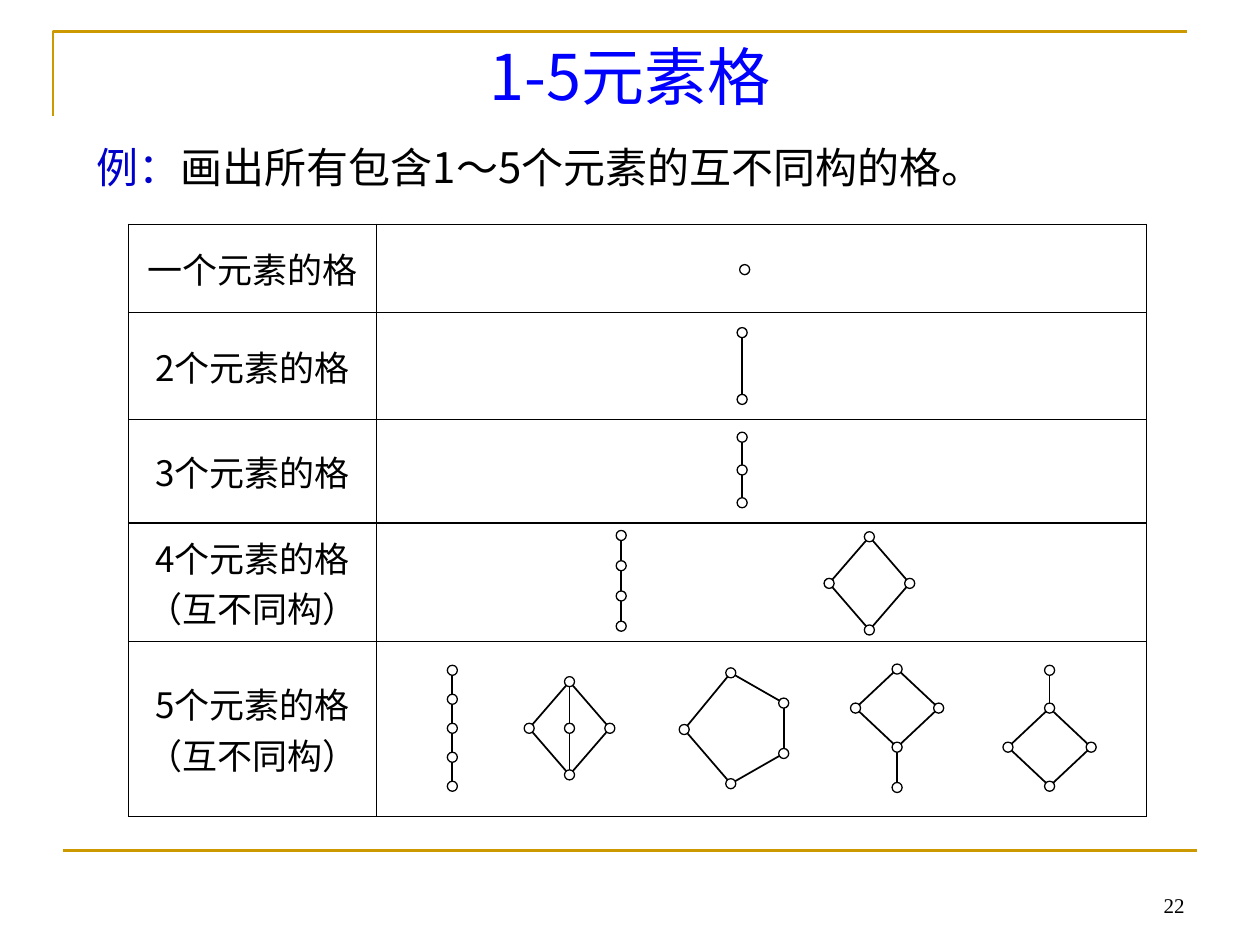
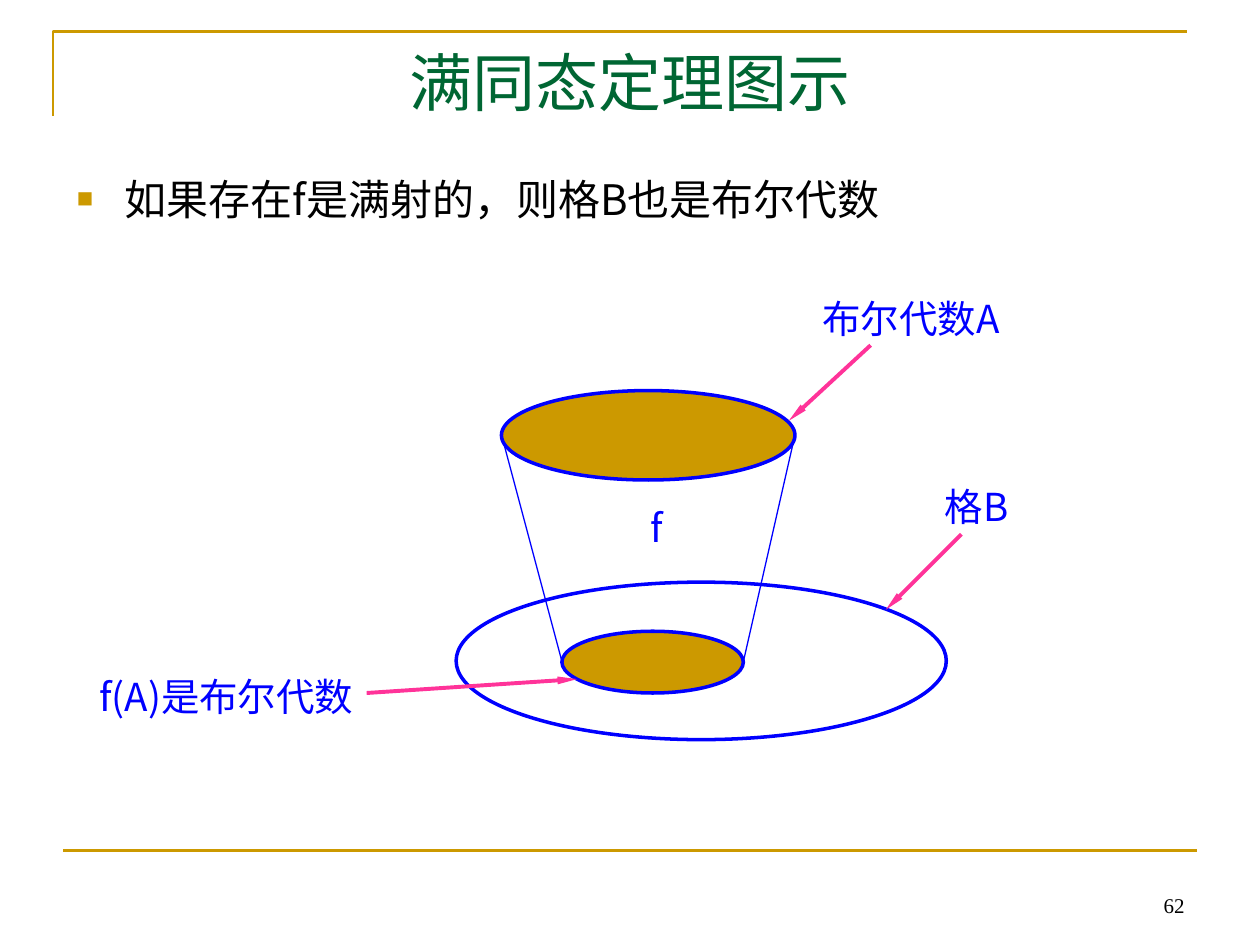
"""Build two slides on lattices: small Hasse diagrams and the surjective homomorphism theorem."""
from dataclasses import dataclass
from itertools import product
from typing import Any, NamedTuple, Optional

import pptx
import pptx.dml.color
import pptx.enum.shapes
import pptx.enum.text
import pptx.oxml.ns
import pptx.presentation
import pptx.slide
import pptx.text.text
import pptx.util
from lxml import etree

Inches = pptx.util.Inches
Align = pptx.enum.text.PP_ALIGN
Anchor = pptx.enum.text.MSO_ANCHOR
Preset = pptx.enum.shapes.MSO_SHAPE
qn = pptx.oxml.ns.qn


@dataclass(frozen=True)
class Theme:
    """Colours, fonts and type sizes of the deck."""
    gold: str = "CC9900"
    blue: str = "0000FF"
    navy: str = "0000CC"
    green: str = "006633"
    pink: str = "FF3399"
    black: str = "000000"
    white: str = "FFFFFF"
    font: str = "Noto Sans CJK SC"
    number_font: str = "Times New Roman"
    title: int = 36
    body: int = 24
    label: int = 22
    cell: int = 20
    number: int = 12


THEME = Theme()


class Point(NamedTuple):
    """A place in inches."""
    x: float
    y: float


class Box(NamedTuple):
    """Left, top, width and height in inches."""
    left: float
    top: float
    width: float
    height: float

    def lengths(self) -> list[pptx.util.Length]:
        """Return the four values as lengths."""
        return [Inches(value) for value in self]


class Lattice(NamedTuple):
    """Hasse diagram: node centres and pairs of joined nodes."""
    nodes: list[Point]
    edges: list[tuple[int, int]]
    node_shape: Any = Preset.FLOWCHART_CONNECTOR


class Ellipse(NamedTuple):
    """A set drawn as an ellipse."""
    box: Box
    fill: Optional[str]


class Label(NamedTuple):
    """A caption and its box."""
    text: str
    box: Box


class Stroke(NamedTuple):
    """A straight line between two points."""
    start: Point
    end: Point


DIAMOND_EDGES = [(0, 1), (1, 2), (2, 3), (3, 0)]


def chain(x: float, top: float, step: float, count: int, node_shape: Any = Preset.FLOWCHART_CONNECTOR) -> Lattice:
    """Return a vertical chain with equal steps."""
    nodes = [Point(x, top + step * index) for index in range(count)]
    return Lattice(nodes, [(index, index + 1) for index in range(count - 1)], node_shape)


def diamond(x: float, y: float, half_width: float, half_height: float) -> list[Point]:
    """Return the top, right, bottom and left nodes of a diamond."""
    return [Point(x, y - half_height), Point(x + half_width, y), Point(x, y + half_height), Point(x - half_width, y)]


LATTICES = [
    chain(5.91, 2.14, 0, 1, Preset.OVAL),
    chain(5.89, 2.64, 0.53, 2, Preset.OVAL),
    chain(5.89, 3.47, 0.26, 3, Preset.OVAL),
    chain(4.93, 4.25, 0.24, 4),
    Lattice(diamond(6.9, 4.63, 0.32, 0.37), DIAMOND_EDGES),
    chain(3.59, 5.32, 0.23, 5),
    Lattice(diamond(4.52, 5.78, 0.32, 0.37) + [Point(4.52, 5.78)], DIAMOND_EDGES + [(0, 4), (4, 2)]),
    Lattice([Point(5.8, 5.34), Point(6.22, 5.58), Point(6.22, 5.98), Point(5.8, 6.22), Point(5.43, 5.79)],
            [(0, 1), (1, 2), (2, 3), (3, 4), (4, 0)]),
    Lattice(diamond(7.12, 5.62, 0.33, 0.31) + [Point(7.12, 6.25)], DIAMOND_EDGES + [(2, 4)]),
    Lattice(diamond(8.33, 5.93, 0.33, 0.31) + [Point(8.33, 5.32)], DIAMOND_EDGES + [(0, 4)]),
]
NODE_SIZE = 0.08
TABLE_BOX = Box(1.02, 1.78, 8.08, 4.7)
COLUMN_WIDTHS = [1.97, 6.11]
ROW_HEIGHTS = [0.7, 0.85, 0.82, 0.94, 1.39]
ROW_LABELS = [["一个元素的格"], ["2个元素的格"], ["3个元素的格"],
              ["4个元素的格", "（互不同构）"], ["5个元素的格", "（互不同构）"]]

ELLIPSES = [
    Ellipse(Box(3.98, 3.1, 2.33, 0.71), THEME.gold),
    Ellipse(Box(3.62, 4.62, 3.89, 1.25), None),
    Ellipse(Box(4.46, 5.01, 1.44, 0.49), THEME.gold),
]
MAPPING_SIDES = [Stroke(Point(3.98, 3.45), Point(4.46, 5.25)), Stroke(Point(6.31, 3.45), Point(5.9, 5.25))]
LABELS = [
    Label("f(A)是布尔代数", Box(0.59, 5.33, 2.41, 0.39)),
    Label("布尔代数A", Box(6.31, 2.33, 1.84, 0.39)),
    Label("格B", Box(7.03, 3.83, 1.44, 0.38)),
    Label("f", Box(4.7, 4.02, 1.02, 0.33)),
]
ARROWS = [
    Stroke(Point(6.91, 2.74), Point(6.26, 3.34)),
    Stroke(Point(2.91, 5.5), Point(4.58, 5.39)),
    Stroke(Point(7.63, 4.24), Point(7.03, 4.84)),
]


def rgb(color: str) -> pptx.dml.color.RGBColor:
    """Return the colour object of a hex value."""
    return pptx.dml.color.RGBColor.from_string(color)


def add_span(para: Any, text: str, size: int, color: str, font: str = THEME.font) -> None:
    """Add one formatted run."""
    span = para.add_run()
    span.text = text
    span.font.size = pptx.util.Pt(size)
    span.font.color.rgb = rgb(color)
    span.font.name = font
    etree.SubElement(span.font._element, qn("a:ea"), typeface=font)


def place(shape: Any, box: Box) -> None:
    """Move a placeholder into a box."""
    shape.left, shape.top, shape.width, shape.height = box.lengths()


def add_text_box(page: pptx.slide.Slide, box: Box, anchor: Any, align: Any, inset: bool = True) -> Any:
    """Add a wrapping text box and return its first paragraph."""
    frame = page.shapes.add_textbox(*box.lengths()).text_frame
    frame.word_wrap = True
    frame.vertical_anchor = anchor
    if not inset:
        frame.margin_left = frame.margin_right = frame.margin_top = frame.margin_bottom = 0
    para = frame.paragraphs[0]
    para.alignment = align
    return para


def add_line(shapes: Any, stroke: Stroke, color: str, width: float, arrow: bool = False) -> Any:
    """Add a straight connector, with an arrowhead if asked."""
    ends = [Inches(value) for point in stroke for value in point]
    line = shapes.add_connector(pptx.enum.shapes.MSO_CONNECTOR.STRAIGHT, *ends)
    line.line.color.rgb = rgb(color)
    line.line.width = pptx.util.Pt(width)
    properties = line.element.spPr
    if arrow:
        etree.SubElement(properties.find(qn("a:ln")), qn("a:tailEnd"), type="triangle", w="sm", len="lg")
    etree.SubElement(properties, qn("a:effectLst"))
    return line


def style_shape(shape: Any, fill: Optional[str], color: str, width: float) -> None:
    """Set fill and outline, and remove the shadow."""
    shape.shadow.inherit = False
    if fill:
        shape.fill.solid()
        shape.fill.fore_color.rgb = rgb(fill)
    else:
        shape.fill.background()
    shape.line.color.rgb = rgb(color)
    shape.line.width = pptx.util.Pt(width)


def add_master_frame(deck: pptx.presentation.Presentation, page: pptx.slide.Slide) -> None:
    """Draw the gold bracket and footer rule, and move them to the master."""
    outline = page.shapes.build_freeform(Inches(0.42), Inches(0.92))
    outline.add_line_segments([(Inches(0.42), Inches(0.25)), (Inches(9.42), Inches(0.25))], close=False)
    bracket = outline.convert_to_shape()
    style_shape(bracket, None, THEME.gold, 1.5)
    rule = add_line(page.shapes, Stroke(Point(0.5, 6.75), Point(9.5, 6.75)), THEME.gold, 1.5)
    for shape in (bracket, rule):
        deck.slide_master.shapes.element.append(shape.element)


def add_page(deck: pptx.presentation.Presentation, layout: str, title: str, color: str, box: Box,
             number: str) -> pptx.slide.Slide:
    """Add a slide with its title and page number."""
    page = deck.slides.add_slide(deck.slide_layouts.get_by_name(layout))
    place(page.shapes.title, box)
    frame = page.shapes.title.text_frame
    frame.auto_size = pptx.enum.text.MSO_AUTO_SIZE.NONE
    frame.vertical_anchor = Anchor.MIDDLE
    frame.paragraphs[0].alignment = Align.CENTER
    add_span(frame.paragraphs[0], title, THEME.title, color)
    para = add_text_box(page, Box(8.7, 6.83, 0.8, 0.5), Anchor.BOTTOM, Align.RIGHT)
    add_span(para, number, THEME.number, THEME.black, THEME.number_font)
    return page


def format_cell(cell: Any) -> None:
    """Give a cell thin black borders and no fill."""
    properties = cell._tc.get_or_add_tcPr()
    for side in ("lnL", "lnR", "lnT", "lnB"):
        border = etree.SubElement(properties, qn(f"a:{side}"), w=str(pptx.util.Pt(1)))
        fill = etree.SubElement(border, qn("a:solidFill"))
        etree.SubElement(fill, qn("a:srgbClr"), val=THEME.black)
    cell.fill.background()
    cell.vertical_anchor = Anchor.MIDDLE


def add_lattice_table(page: pptx.slide.Slide) -> None:
    """Add the table that sorts lattices by their number of elements."""
    table = page.shapes.add_table(len(ROW_HEIGHTS), len(COLUMN_WIDTHS), *TABLE_BOX.lengths()).table
    table.first_row = table.horz_banding = False
    for column, width in zip(table.columns, COLUMN_WIDTHS):
        column.width = Inches(width)
    for row, height in zip(table.rows, ROW_HEIGHTS):
        row.height = Inches(height)
    for row, column in product(range(len(ROW_HEIGHTS)), range(len(COLUMN_WIDTHS))):
        format_cell(table.cell(row, column))
    for row, lines in enumerate(ROW_LABELS):
        frame = table.cell(row, 0).text_frame
        for index, text in enumerate(lines):
            para = frame.add_paragraph() if index else frame.paragraphs[0]
            para.alignment = Align.CENTER
            add_span(para, text, THEME.cell, THEME.black)


def add_lattice(page: pptx.slide.Slide, lattice: Lattice) -> None:
    """Draw the edges of a lattice and then its nodes."""
    shapes = page.shapes.add_group_shape().shapes if lattice.edges else page.shapes
    for start, end in lattice.edges:
        add_line(shapes, Stroke(lattice.nodes[start], lattice.nodes[end]), THEME.black, 1)
    for node in lattice.nodes:
        box = Box(node.x - NODE_SIZE / 2, node.y - NODE_SIZE / 2, NODE_SIZE, NODE_SIZE)
        style_shape(shapes.add_shape(lattice.node_shape, *box.lengths()), THEME.white, THEME.black, 0.75)


def add_bullet(para: Any) -> None:
    """Give a paragraph a hanging gold square."""
    properties = para._p.get_or_add_pPr()
    properties.set("marL", str(Inches(0.38)))
    properties.set("indent", str(-Inches(0.38)))
    color = etree.SubElement(properties, qn("a:buClr"))
    etree.SubElement(color, qn("a:srgbClr"), val=THEME.gold)
    etree.SubElement(properties, qn("a:buSzPct"), val="65000")
    etree.SubElement(properties, qn("a:buFont"), typeface=THEME.number_font)
    etree.SubElement(properties, qn("a:buChar"), char="■")


def fill_lattice_page(page: pptx.slide.Slide) -> None:
    """Add the exercise, the table and the Hasse diagrams."""
    para = add_text_box(page, Box(0.67, 0.99, 8.88, 0.59), Anchor.TOP, Align.LEFT)
    para.line_spacing = 1.2
    add_span(para, "例：", THEME.body, THEME.navy)
    add_span(para, "画出所有包含1～5个元素的互不同构的格。", THEME.body, THEME.black)
    add_lattice_table(page)
    for lattice in LATTICES:
        add_lattice(page, lattice)


def fill_theorem_page(page: pptx.slide.Slide) -> None:
    """Add the statement and the diagram of the mapping."""
    body = page.placeholders[1]
    place(body, Box(0.51, 1.39, 6.61, 0.74))
    body.text_frame.auto_size = pptx.enum.text.MSO_AUTO_SIZE.NONE
    para = body.text_frame.paragraphs[0]
    para.line_spacing = 0.84
    para.space_before = pptx.util.Pt(4.8)
    add_bullet(para)
    add_span(para, "如果存在f是满射的，则格B也是布尔代数", THEME.body, THEME.black)
    for ellipse in ELLIPSES:
        style_shape(page.shapes.add_shape(Preset.OVAL, *ellipse.box.lengths()), ellipse.fill, THEME.blue, 2)
    for side in MAPPING_SIDES:
        add_line(page.shapes, side, THEME.blue, 0.75)
    for label in LABELS:
        para = add_text_box(page, label.box, Anchor.MIDDLE, Align.CENTER, inset=False)
        add_span(para, label.text, THEME.label, THEME.blue)
    for arrow in ARROWS:
        add_line(page.shapes, arrow, THEME.pink, 2.25, arrow=True)


def main() -> None:
    """Build and save the deck."""
    deck = pptx.Presentation()
    deck.slide_width, deck.slide_height = Inches(10), Inches(7.5)
    lattices = add_page(deck, "Title Only", "1-5元素格", THEME.blue, Box(0.5, 0.21, 9, 0.77), "22")
    add_master_frame(deck, lattices)
    fill_lattice_page(lattices)
    theorem = add_page(deck, "Title and Content", "满同态定理图示", THEME.green, Box(0.5, 0.3, 9, 0.69), "62")
    fill_theorem_page(theorem)
    deck.save("out.pptx")


if __name__ == "__main__":
    main()
